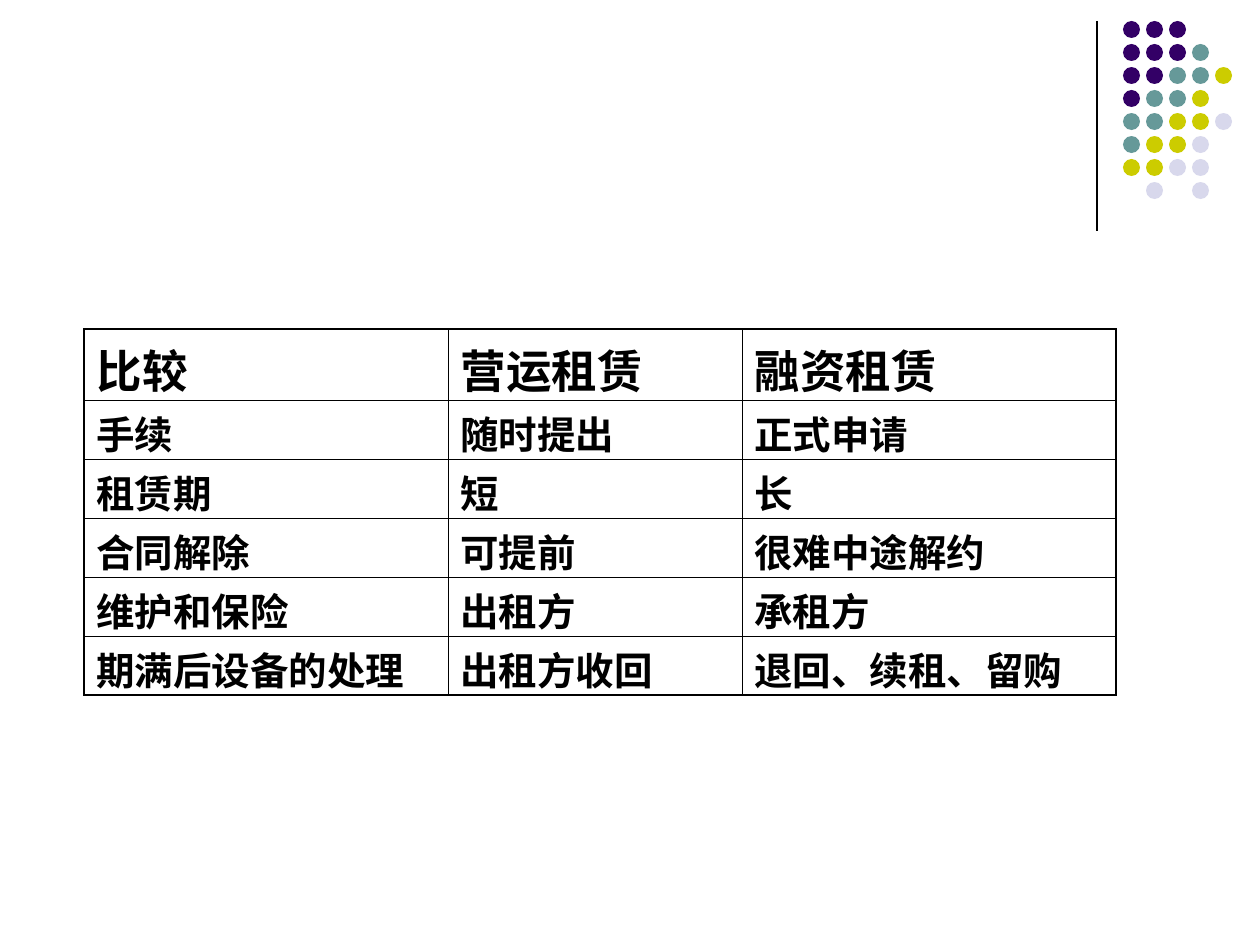
from lxml import etree
from pptx import Presentation
from pptx.dml.color import RGBColor
from pptx.enum.shapes import MSO_CONNECTOR, MSO_SHAPE
from pptx.oxml.ns import qn
from pptx.util import Emu, Pt

LINE, DOT = MSO_CONNECTOR.STRAIGHT, MSO_SHAPE.OVAL
SCALE = 914400 / 126
FONT = "DejaVu Sans"
COLORS = {"ink": "000000", "P": "330066", "T": "669999", "Y": "CCCC00", "L": "D8D8EC"}
DOTS = ["PPP", "PPPT", "PPTTY", "PTTY", "TTYYL", "TYYL", "YYLL", " L L"]
COLS = [364, 294, 374]
ROWS = [
    ["比较", "营运租赁", "融资租赁"],
    ["手续", "随时提出", "正式申请"],
    ["租赁期", "短", "长"],
    ["合同解除", "可提前", "很难中途解约"],
    ["维护和保险", "出租方", "承租方"],
    ["期满后设备的处理", "出租方收回", "退回、续租、留购"],
]
HEAD = {"size": Pt(26), "high": 71, "top": 17}
BODY = {"size": Pt(22), "high": 59, "top": 14}


def px(num):
    """Turn pixels into EMU."""
    return Emu(round(num * SCALE))


def tint(name):
    """Look up a colour by name."""
    return RGBColor.from_string(COLORS[name])


def draw_rule(slide, left, top, high):
    """Draw the upright line beside the dots."""
    rule = slide.shapes.add_connector(LINE, px(left), px(top), px(left), px(top + high))
    rule.line.color.rgb = tint("ink")
    rule.line.width = Pt(0.75)
    etree.SubElement(rule._element.spPr, qn("a:effectLst"))


def draw_dots(slide, left, top, pitch, size):
    """Draw the grid of coloured dots in one group."""
    group = slide.shapes.add_group_shape()
    for row, keys in enumerate(DOTS):
        for col, key in enumerate(keys):
            if key == " ":
                continue
            dot = group.shapes.add_shape(
                DOT, px(left + col * pitch), px(top + row * pitch), px(size), px(size))
            dot.shadow.inherit = False
            dot.fill.solid()
            dot.fill.fore_color.rgb = tint(key)
            dot.line.fill.background()


def add_edges(cell, outer):
    """Set the cell borders, thicker on the outer sides."""
    props = cell._tc.get_or_add_tcPr()
    for spot, (side, thick) in enumerate(outer.items()):
        width = Pt(1.08 if thick else 0.45)
        edge = etree.Element(qn("a:ln" + side), w=str(width))
        fill = etree.SubElement(edge, qn("a:solidFill"))
        etree.SubElement(fill, qn("a:srgbClr"), val=COLORS["ink"])
        props.insert(spot, edge)


def fill_cell(cell, text, form):
    """Write and format the text of one cell."""
    cell.fill.background()
    cell.margin_top, cell.margin_bottom = px(form["top"]), 0
    run = cell.text_frame.paragraphs[0].add_run()
    run.text = text
    for key, value in {"size": form["size"], "name": FONT, "bold": True}.items():
        setattr(run.font, key, value)
    run.font.color.rgb = tint("ink")
    etree.SubElement(run._r.get_or_add_rPr(), qn("a:ea"), typeface=FONT)


def draw_table(slide, left, top):
    """Draw the lease comparison table."""
    forms = [HEAD] + [BODY] * (len(ROWS) - 1)
    high = sum(form["high"] for form in forms)
    table = slide.shapes.add_table(
        len(ROWS), len(COLS), px(left), px(top), px(sum(COLS)), px(high)).table
    table.first_row = table.horz_banding = False
    for col, wide in zip(table.columns, COLS):
        col.width = px(wide)
    for y, (texts, form) in enumerate(zip(ROWS, forms)):
        table.rows[y].height = px(form["high"])
        for x, text in enumerate(texts):
            cell = table.cell(y, x)
            fill_cell(cell, text, form)
            add_edges(cell, {"L": x == 0, "R": x == len(COLS) - 1,
                             "T": y == 0, "B": y == len(ROWS) - 1})


def main():
    """Build and save the slide."""
    deck = Presentation()
    deck.slide_width, deck.slide_height = px(1260), px(945)
    slide = deck.slides.add_slide(deck.slide_layouts[6])
    draw_rule(slide, 1097, 21, 210)
    draw_dots(slide, 1123, 21, 23, 17)
    draw_table(slide, 84, 329)
    deck.save("out.pptx")


if __name__ == "__main__":
    main()
